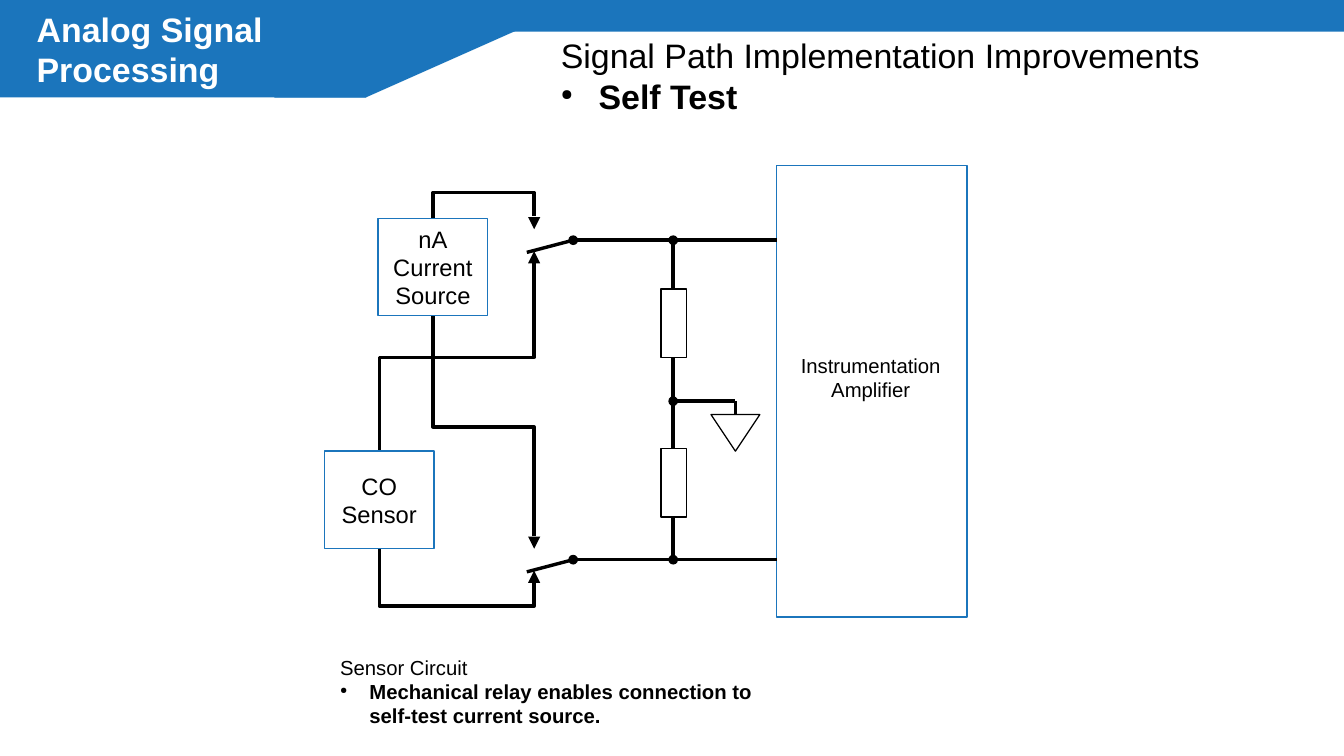
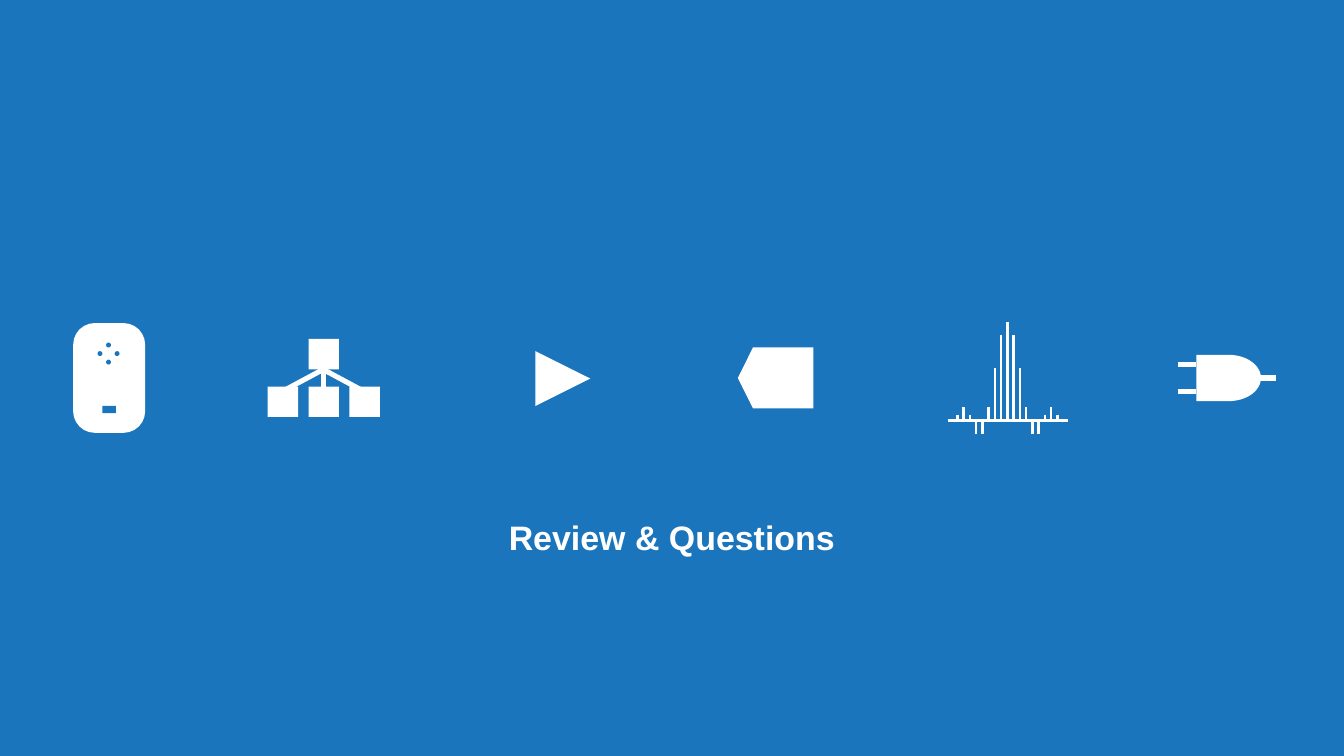
"""Builds a sensor self-test circuit slide and a closing slide."""
from typing import Any, NamedTuple

from lxml import etree
from pptx import Presentation
from pptx.dml.color import RGBColor
from pptx.enum import shapes, text
from pptx.oxml import ns
from pptx.util import Emu, Inches, Pt

BLUE = RGBColor(0x1B, 0x75, 0xBC)
WHITE = RGBColor(0xFF, 0xFF, 0xFF)
BLACK = RGBColor(0, 0, 0)
KIND = shapes.MSO_SHAPE
LINK = shapes.MSO_CONNECTOR
ALIGN = text.PP_ALIGN


class Box(NamedTuple):
    """A frame in inches."""
    x: float
    y: float
    w: float
    h: float

    def emu(self) -> list[Emu]:
        """Gives the frame as lengths."""
        return [Inches(v) for v in self]


class Para(NamedTuple):
    """A paragraph, bulleted when its indent is set."""
    words: str
    size: float
    bold: bool = False
    dent: float = 0


def put(pool: Any, kind: Any, box: Box, fill: RGBColor | None = None,
        line: RGBColor | None = None) -> Any:
    """Adds a preset shape, hollow unless a fill is given."""
    shape = pool.add_shape(kind, *box.emu())
    shape.shadow.inherit = False
    if fill is None:
        shape.fill.background()
    else:
        shape.fill.solid()
        shape.fill.fore_color.rgb = fill
    if line is None:
        shape.line.fill.background()
    else:
        shape.line.color.rgb = line
        shape.line.width = Pt(0)
    return shape


def wire(pool: Any, x1: float, y1: float, x2: float, y2: float,
         color: RGBColor = BLACK, width: float = 0, kind: Any = LINK.STRAIGHT) -> Any:
    """Adds a connector without a shadow."""
    link = pool.add_connector(kind, *Box(x1, y1, x2, y2).emu())
    link.line.color.rgb = color
    link.line.width = Pt(width)
    etree.SubElement(link.element.spPr, ns.qn("a:effectLst"))
    return link


def hook(pool: Any, x1: float, y1: float, x2: float, y2: float, mid: float) -> None:
    """Adds an elbow that leaves upright, runs left at mid and ends upright."""
    w, h = abs(y2 - y1), x1 - x2
    x, y = (x1 + x2 - w) / 2, (y1 + y2 - h) / 2
    link = wire(pool, x, y, x + w, y + h, kind=LINK.ELBOW)
    form = link.element.spPr.find(ns.qn("a:xfrm"))
    form.set("rot", str((90 if y2 > y1 else 270) * 60000))
    if y2 < y1:
        form.set("flipV", "1")
    bends = link.element.spPr.find(ns.qn("a:prstGeom")).find(ns.qn("a:avLst"))
    ratio = round((mid - y1) / (y2 - y1) * 100000)
    etree.SubElement(bends, ns.qn("a:gd"), name="adj1", fmla=f"val {ratio}")


def dot(pool: Any, x: float, y: float, size: float = 0.08,
        color: RGBColor = BLACK) -> None:
    """Adds a filled circle around a point."""
    put(pool, KIND.OVAL, Box(x - size / 2, y - size / 2, size, size), color)


def bullet(para: Any, dent: float) -> None:
    """Gives a paragraph a small black bullet and a hanging indent."""
    props = para._p.get_or_add_pPr()
    props.set("marL", str(Inches(dent)))
    props.set("indent", str(-Inches(dent)))
    tint = etree.SubElement(props, ns.qn("a:buClr"))
    etree.SubElement(tint, ns.qn("a:srgbClr"), val=str(BLACK))
    etree.SubElement(props, ns.qn("a:buSzPct"), val="45000")
    etree.SubElement(props, ns.qn("a:buChar"), char="●")


def write(shape: Any, paras: list[Para], color: RGBColor = BLACK,
          align: Any = ALIGN.LEFT, wrap: bool = True) -> None:
    """Fills a shape with paragraphs, centred upright."""
    frame = shape.text_frame
    frame.auto_size = text.MSO_AUTO_SIZE.NONE
    frame.word_wrap = wrap
    frame.vertical_anchor = text.MSO_ANCHOR.MIDDLE
    for i, item in enumerate(paras):
        para = frame.add_paragraph() if i else frame.paragraphs[0]
        para.text = item.words
        para.alignment = align
        if item.dent:
            bullet(para, item.dent)
        font = para.font
        font.name, font.size, font.bold = "Arial", Pt(item.size), item.bold
        font.color.rgb = color


def note(pool: Any, box: Box, paras: list[Para], align: Any = ALIGN.LEFT) -> None:
    """Adds a text box."""
    write(pool.add_textbox(*box.emu()), paras, align=align)


def head(slide: Any, box: Box, words: str, align: Any = ALIGN.LEFT) -> None:
    """Places and styles the title."""
    title = slide.shapes.title
    title.left, title.top, title.width, title.height = box.emu()
    write(title, [Para(words, 20, True)], WHITE, align)


def band(slide: Any) -> None:
    """Draws the blue header and hands it to the layout."""
    pool = slide.shapes
    slant = put(pool, KIND.RIGHT_TRIANGLE, Box(3, 0, 1.8, 0.8), BLUE)
    slant.element.spPr.find(ns.qn("a:xfrm")).set("flipV", "1")
    join = put(pool, KIND.PARALLELOGRAM, Box(2.25, 0, 1, 0.8), BLUE)
    join.adjustments[0] = 0.31
    parts = [put(pool, KIND.RECTANGLE, Box(0, 0, 3, 0.8), BLUE), slant,
             put(pool, KIND.RECTANGLE, Box(4.1, 0, 6.92, 0.26), BLUE), join]
    tree = slide.slide_layout.shapes.element
    for i, part in enumerate(parts):
        tree.insert(2 + i, part.element)


def block(pool: Any, box: Box, lines: list[str]) -> None:
    """Adds a labelled circuit block."""
    shape = put(pool, KIND.RECTANGLE, box, line=BLUE)
    write(shape, [Para(line, 14) for line in lines], align=ALIGN.CENTER, wrap=False)


def relay(pool: Any, y: float) -> None:
    """Draws a two-way switch and its line to the amplifier."""
    wire(pool, 4.7, y, 6.37, y)
    wire(pool, 4.7, y, 4.32, y + 0.1)
    dot(pool, 4.7, y)
    dot(pool, 5.52, y)
    put(pool, KIND.ISOSCELES_TRIANGLE, Box(4.33, y + 0.09, 0.1, 0.1), BLACK)
    tip = put(pool, KIND.ISOSCELES_TRIANGLE, Box(4.33, y - 0.19, 0.1, 0.1), BLACK)
    tip.rotation = 180


def circuit(slide: Any) -> None:
    """Draws the self-test slide."""
    pool = slide.shapes
    head(slide, Box(0.2, 0, 3.4, 0.8), "Analog Signal Processing")
    note(pool, Box(4.5, 0.26, 6.1, 0.72),
         [Para("Signal Path Implementation Improvements", 20),
          Para("Self Test", 20, True, 0.31)])
    for path in ((4.38, 4.78, 3.11, 4.5, 4.97), (4.38, 2.16, 3.11, 3.7, 2.93),
                 (4.38, 4.4, 3.55, 2.59, 3.5), (4.38, 1.77, 3.55, 1.79, 1.58)):
        hook(pool, *path)
    block(pool, Box(3.1, 1.79, 0.9, 0.8), ["nA", "Current", "Source"])
    block(pool, Box(2.66, 3.7, 0.9, 0.8), ["CO", "Sensor"])
    put(pool, KIND.RECTANGLE, Box(6.37, 1.36, 1.56, 3.7), line=BLUE)
    note(pool, Box(5.45, 2.86, 3.38, 0.47),
         [Para("Instrumentation", 12), Para("Amplifier", 12)], ALIGN.CENTER)
    for y in (1.97, 4.59):
        relay(pool, y)
    for y in (2.37, 3.68):
        put(pool, KIND.RECTANGLE, Box(5.42, y, 0.21, 0.56), line=BLACK)
    for top, end in ((1.97, 2.37), (2.93, 3.68), (4.24, 4.59)):
        wire(pool, 5.52, top, 5.52, end)
    dot(pool, 5.52, 3.29)
    wire(pool, 5.52, 3.29, 6.03, 3.29)
    wire(pool, 6.03, 3.29, 6.03, 3.4)
    ground = put(pool, KIND.ISOSCELES_TRIANGLE, Box(5.83, 3.4, 0.4, 0.3), line=BLACK)
    ground.rotation = 180
    note(pool, Box(2.69, 5.22, 3.61, 0.9),
         [Para("Sensor Circuit", 12),
          Para("Mechanical relay enables connection to self-test current source.",
               12, True, 0.24)])


def device(pool: Any) -> None:
    """Draws the sensor unit icon."""
    case = put(pool, KIND.ROUNDED_RECTANGLE, Box(0.6, 2.65, 0.59, 0.9), WHITE)
    case.adjustments[0] = 0.3
    for dx, dy in ((-1, 0), (0, -1), (0, 1), (1, 0)):
        dot(pool, 0.89 + 0.07 * dx, 2.9 + 0.07 * dy, 0.04, BLUE)
    put(pool, KIND.RECTANGLE, Box(0.84, 3.33, 0.11, 0.06), BLUE)


def tree(pool: Any) -> None:
    """Draws the hierarchy icon."""
    put(pool, KIND.RECTANGLE, Box(2.53, 2.78, 0.25, 0.25), WHITE)
    for i in (-1, 0, 1):
        put(pool, KIND.RECTANGLE, Box(2.53 + 0.335 * i, 3.17, 0.25, 0.25), WHITE)
        wire(pool, 2.65, 3.03, 2.65 + 0.335 * i, 3.21, WHITE, 3)


def pulse(pool: Any) -> None:
    """Draws the mirrored impulse response icon."""
    base, mid, step = 3.45, 8.26, 0.05125
    wire(pool, 7.77, base, 8.76, base, WHITE, 1.5)
    rises = (0.81, 0.7, 0.43, 0.11, -0.11, -0.11, 0.05, 0.11, 0.05)
    for i, rise in enumerate(rises):
        for x in sorted({mid - i * step, mid + i * step}):
            wire(pool, x, base - rise, x, base, WHITE, 1.5)


def gate(pool: Any) -> None:
    """Draws the logic gate icon."""
    put(pool, KIND.FLOWCHART_DELAY, Box(9.81, 2.91, 0.53, 0.38), WHITE)
    for x, y in ((9.66, 2.99), (9.66, 3.21), (10.31, 3.1)):
        wire(pool, x, y, x + 0.15, y, WHITE, 3)


def close(slide: Any) -> None:
    """Draws the closing slide."""
    pool = slide.shapes
    put(pool, KIND.RECTANGLE, Box(0, 0, 11.02, 6.2), BLUE)
    pool.element.append(pool.title.element)
    head(slide, Box(3.63, 4, 3.76, 0.8), "Review & Questions", ALIGN.CENTER)
    for icon in (device, tree, pulse, gate):
        icon(pool.add_group_shape().shapes)
    for kind, box in ((KIND.ISOSCELES_TRIANGLE, Box(4.39, 2.88, 0.45, 0.45)),
                      (KIND.FLOWCHART_OFFPAGE_CONNECTOR, Box(6.11, 2.79, 0.5, 0.62))):
        put(pool, kind, box, WHITE).rotation = 90


def main() -> None:
    """Builds and saves the deck."""
    deck = Presentation()
    deck.slide_width, deck.slide_height = Inches(11.02), Inches(6.2)
    first, last = (deck.slides.add_slide(deck.slide_layouts[5]) for _ in range(2))
    band(first)
    circuit(first)
    close(last)
    deck.save("out.pptx")


if __name__ == "__main__":
    main()
